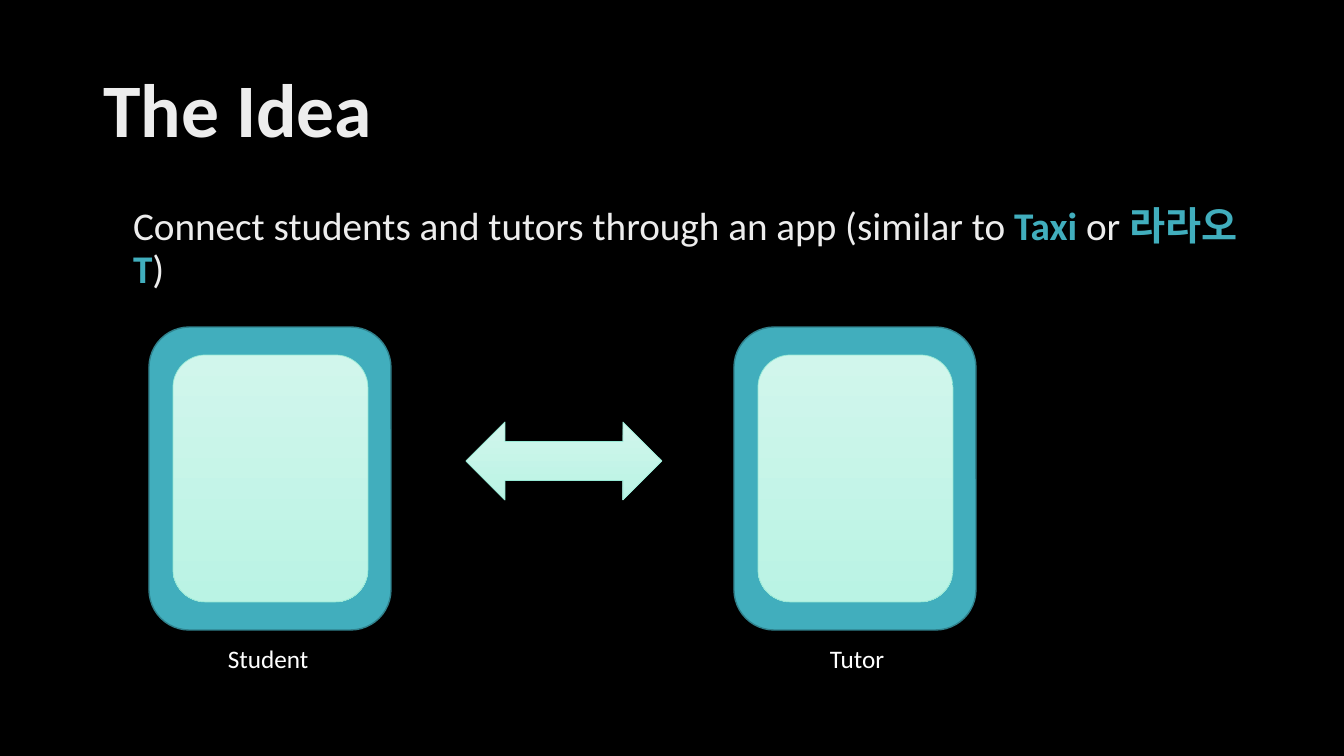
from pptx import Presentation
from pptx.dml.color import RGBColor
from pptx.enum.shapes import MSO_SHAPE
from pptx.enum.text import MSO_ANCHOR, MSO_AUTO_SIZE, PP_ALIGN
from pptx.oxml.xmlchemy import OxmlElement
from pptx.util import Emu, Pt

PX = 914400 / 100.8
HUE = {
    "back": "000000", "text": "EDEDED", "white": "FFFFFF",
    "teal": "41AEBD", "edge": "30818C",
    "light": "D1F6EC", "mint": "BAF3E4", "rim": "97E9D5",
}


def write(para, text, size, color, bold=False):
    run = para.add_run()
    run.text = text
    look = {"name": "Calibri", "size": Pt(size), "bold": bold}
    for key, value in look.items():
        setattr(run.font, key, value)
    run.font.color.rgb = RGBColor.from_string(HUE[color])


def draw(kind, box, line, width, fill=None):
    shape = slide.shapes.add_shape(kind, *[Emu(round(n * PX)) for n in box])
    shape.shadow.inherit = False
    if fill:
        shape.fill.solid()
        shape.fill.fore_color.rgb = RGBColor.from_string(HUE[fill])
    else:
        shape.fill.gradient()
        shape.fill.gradient_angle = 270
        for stop, name in zip(shape.fill.gradient_stops, ("light", "mint")):
            stop.color.rgb = RGBColor.from_string(HUE[name])
    shape.line.color.rgb = RGBColor.from_string(HUE[line])
    shape.line.width = Pt(width)


deck = Presentation()
deck.slide_width, deck.slide_height = Emu(round(1344 * PX)), Emu(round(756 * PX))
slide = deck.slides.add_slide(deck.slide_layouts[1])
slide.background.fill.solid()
slide.background.fill.fore_color.rgb = RGBColor.from_string(HUE["back"])

title, body = slide.placeholders
holders = (
    (title, (93, 40, 1159, 146), MSO_ANCHOR.MIDDLE, 0),
    (body, (123, 202, 1128, 480), MSO_ANCHOR.TOP, 10),
)
for holder, box, anchor, before in holders:
    for key, value in zip(("left", "top", "width", "height"), box):
        setattr(holder, key, Emu(round(value * PX)))
    frame = holder.text_frame
    setup = {"word_wrap": True, "auto_size": MSO_AUTO_SIZE.NONE, "vertical_anchor": anchor}
    for key, value in setup.items():
        setattr(frame, key, value)
    para = frame.paragraphs[0]
    form = {"alignment": PP_ALIGN.LEFT, "line_spacing": 0.9, "space_before": Pt(before)}
    for key, value in form.items():
        setattr(para, key, value)

write(title.text_frame.paragraphs[0], "The Idea", 54, "text", True)

idea = body.text_frame.paragraphs[0]
props = idea._p.get_or_add_pPr()
props.set("marL", "0")
props.set("indent", "0")
props.append(OxmlElement("a:buNone"))
parts = (
    ("Connect students and tutors through an app (similar to ", False),
    ("Taxi ", True), ("or ", False), ("라라오 T", True), (")", False),
)
for text, bold in parts:
    write(idea, text, 28, "teal" if bold else "text", bold)

for left, label, start in ((149, "Student", 218), (734, "Tutor", 820)):
    draw(MSO_SHAPE.ROUNDED_RECTANGLE, (left, 327, 242, 303), "edge", 1, "teal")
    draw(MSO_SHAPE.ROUNDED_RECTANGLE, (left + 24, 355, 195, 247), "rim", 0.5)
    box = [Emu(round(n * PX)) for n in (start, 638, 199, 40)]
    frame = slide.shapes.add_textbox(*box).text_frame
    frame.word_wrap = True
    write(frame.paragraphs[0], label, 18, "white")

draw(MSO_SHAPE.LEFT_RIGHT_ARROW, (466, 422, 196, 78), "rim", 0.5)

deck.save("out.pptx")
